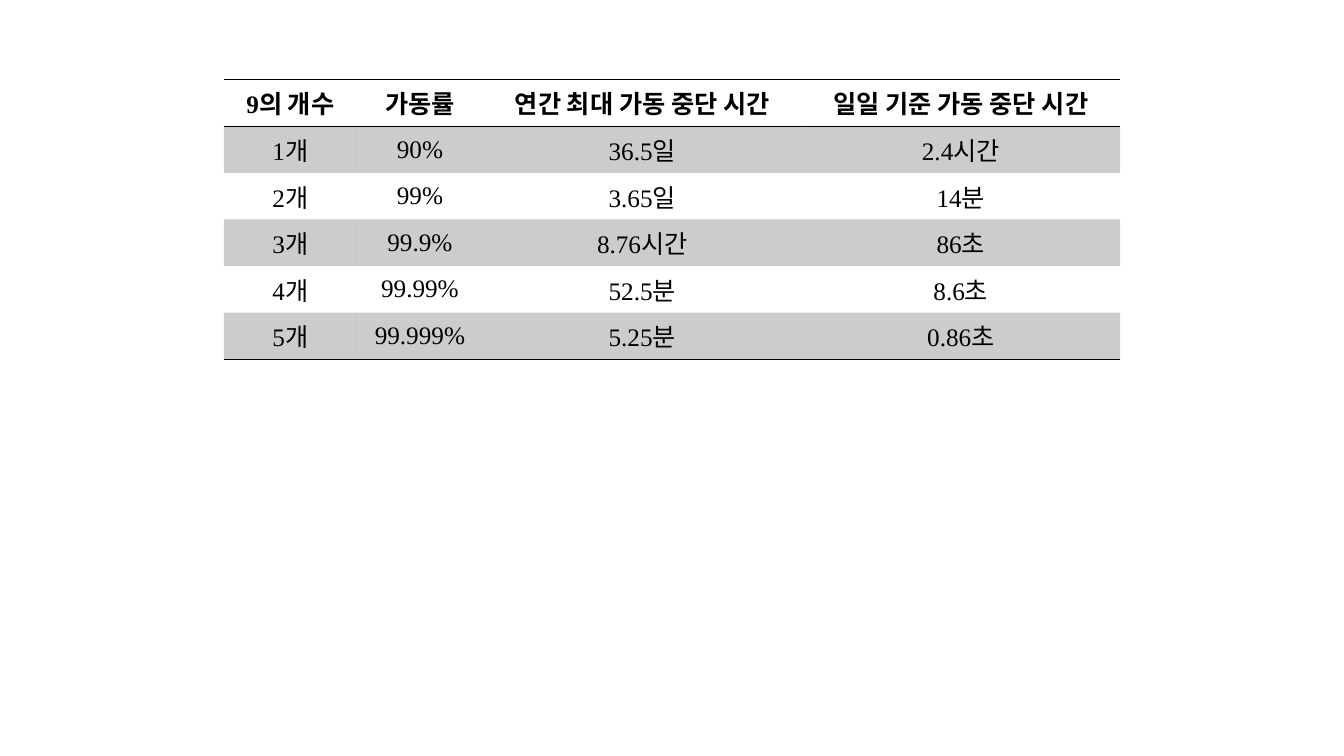
from lxml.etree import SubElement
from pptx import Presentation
from pptx.dml.color import RGBColor
from pptx.enum.text import MSO_ANCHOR, PP_ALIGN
from pptx.oxml.ns import qn
from pptx.util import Inches, Pt

BLACK = RGBColor(0x00, 0x00, 0x00)
BAND_ALPHA = 20
FONT = "Times New Roman"
COL_WIDTHS = [1.32, 1.25, 3.16, 3.16]
ROW_HEIGHT = 0.41
ROWS = [
    ["9의 개수", "가동률", "연간 최대 가동 중단 시간", "일일 기준 가동 중단 시간"],
    ["1개", "90%", "36.5일", "2.4시간"],
    ["2개", "99%", "3.65일", "14분"],
    ["3개", "99.9%", "8.76시간", "86초"],
    ["4개", "99.99%", "52.5분", "8.6초"],
    ["5개", "99.999%", "5.25분", "0.86초"],
]


def set_borders(cell, ruled_sides):
    """Rule the named sides (T, B) in black and clear the others."""
    tcPr = cell._tc.get_or_add_tcPr()
    for side in "LRTB":
        ln = SubElement(tcPr, qn(f"a:ln{side}"), w=str(Pt(1)))
        if side in ruled_sides:
            fill = SubElement(ln, qn("a:solidFill"))
            SubElement(fill, qn("a:srgbClr"), val=str(BLACK))
        else:
            SubElement(ln, qn("a:noFill"))


def fill_cell(cell, banded):
    if not banded:
        cell.fill.background()
        return
    cell.fill.solid()
    cell.fill.fore_color.rgb = BLACK
    color = cell._tc.tcPr.find(qn("a:solidFill")).find(qn("a:srgbClr"))
    SubElement(color, qn("a:alpha"), val=str(BAND_ALPHA * 1000))


def write_cell(cell, text, bold):
    cell.vertical_anchor = MSO_ANCHOR.MIDDLE
    p = cell.text_frame.paragraphs[0]
    p.text = text
    p.alignment = PP_ALIGN.CENTER
    font = p.runs[0].font
    font.name, font.size, font.bold = FONT, Pt(18), bold
    font.color.rgb = BLACK


def add_downtime_table(slide, left, top):
    width, height = sum(COL_WIDTHS), ROW_HEIGHT * len(ROWS)
    table = slide.shapes.add_table(
        len(ROWS), len(COL_WIDTHS),
        Inches(left), Inches(top), Inches(width), Inches(height)).table
    table.first_row = table.horz_banding = False
    for column, col_width in zip(table.columns, COL_WIDTHS):
        column.width = Inches(col_width)
    ruled = {0: "TB", 1: "T", len(ROWS) - 1: "B"}
    for i, texts in enumerate(ROWS):
        table.rows[i].height = Inches(ROW_HEIGHT)
        for j, text in enumerate(texts):
            cell = table.cell(i, j)
            write_cell(cell, text, bold=i == 0)
            set_borders(cell, ruled.get(i, ""))
            fill_cell(cell, banded=i % 2 == 1)


def main():
    prs = Presentation()
    prs.slide_width, prs.slide_height = Inches(13.33), Inches(7.5)
    slide = prs.slides.add_slide(prs.slide_layouts[6])
    add_downtime_table(slide, 2.22, 0.79)
    prs.save("out.pptx")


if __name__ == "__main__":
    main()
